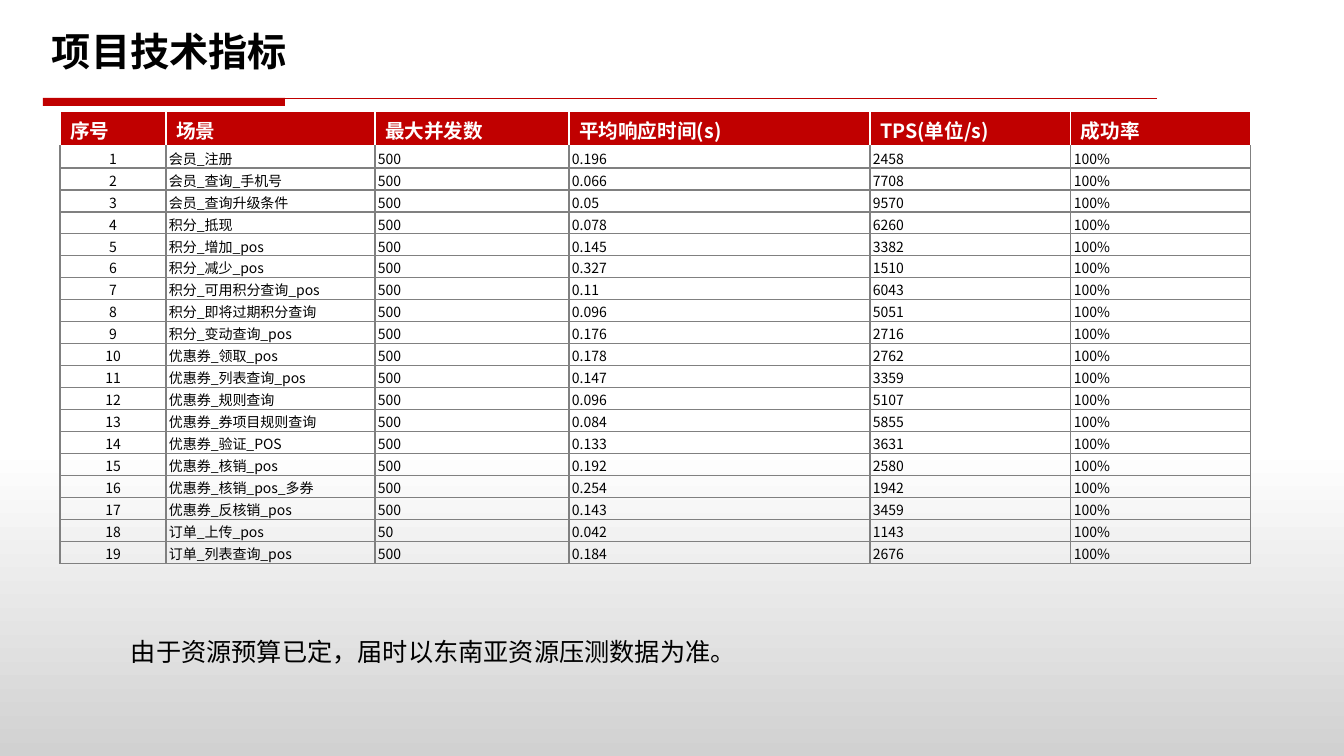
from copy import deepcopy

from pptx import Presentation
from pptx import util as u
from pptx.dml.color import RGBColor
from pptx.enum import shapes, text
from pptx.oxml.ns import qn
from lxml import etree

SCALE = 914400 / 100.8
FONT = "Noto Sans CJK SC"
RED, GREY, WHITE, BLACK = "C00000", "808080", "FFFFFF", "000000"

COL_WIDTHS = [106, 209, 194, 301, 201, 180]
HEADER_HEIGHT, ROW_HEIGHT = 35, 22
HEADERS = ["序号", "场景", "最大并发数", "平均响应时间(s)", "TPS(单位/s)", "成功率"]
RESULTS = [
    ("会员_注册", "500", "0.196", "2458"),
    ("会员_查询_手机号", "500", "0.066", "7708"),
    ("会员_查询升级条件", "500", "0.05", "9570"),
    ("积分_抵现", "500", "0.078", "6260"),
    ("积分_增加_pos", "500", "0.145", "3382"),
    ("积分_减少_pos", "500", "0.327", "1510"),
    ("积分_可用积分查询_pos", "500", "0.11", "6043"),
    ("积分_即将过期积分查询", "500", "0.096", "5051"),
    ("积分_变动查询_pos", "500", "0.176", "2716"),
    ("优惠券_领取_pos", "500", "0.178", "2762"),
    ("优惠券_列表查询_pos", "500", "0.147", "3359"),
    ("优惠券_规则查询", "500", "0.096", "5107"),
    ("优惠券_券项目规则查询", "500", "0.084", "5855"),
    ("优惠券_验证_POS", "500", "0.133", "3631"),
    ("优惠券_核销_pos", "500", "0.192", "2580"),
    ("优惠券_核销_pos_多券", "500", "0.254", "1942"),
    ("优惠券_反核销_pos", "500", "0.143", "3459"),
    ("订单_上传_pos", "50", "0.042", "1143"),
    ("订单_列表查询_pos", "500", "0.184", "2676"),
]


def px(n):
    return u.Emu(round(n * SCALE))


def color(value):
    return RGBColor.from_string(value)


def add_run(p, words, size, ink=BLACK, bold=False):
    r = p.add_run()
    r.text = words
    r.font.size = u.Pt(size)
    r.font.name = FONT
    r.font.bold = bold
    r.font.color.rgb = color(ink)
    ea = etree.SubElement(r.font._element, qn("a:ea"))
    ea.set("typeface", FONT)


def add_text(s, box, words, size, bold=False, wrap=True):
    tf = s.shapes.add_textbox(*map(px, box)).text_frame
    tf.word_wrap = wrap
    tf.auto_size = text.MSO_AUTO_SIZE.SHAPE_TO_FIT_TEXT
    tf.margin_top = tf.margin_bottom = 0
    add_run(tf.paragraphs[0], words, size, bold=bold)


def set_borders(cell, ink, top):
    tc_pr = cell._tc.get_or_add_tcPr()
    sides = [("a:lnL", ink), ("a:lnR", ink), ("a:lnT", top), ("a:lnB", ink)]
    for i, (tag, side_ink) in enumerate(sides):
        ln = etree.Element(qn(tag), w=str(u.Pt(1)))
        fill = etree.SubElement(ln, qn("a:solidFill"))
        etree.SubElement(fill, qn("a:srgbClr"), val=side_ink)
        tc_pr.insert(i, ln)


def header_cell(cell, words):
    cell.fill.solid()
    cell.fill.fore_color.rgb = color(RED)
    add_run(cell.text_frame.paragraphs[0], words, 14, WHITE, True)
    set_borders(cell, WHITE, WHITE)


def body_cell(cell, words, centred, top):
    cell.fill.background()
    cell.vertical_anchor = text.MSO_ANCHOR.MIDDLE
    cell.margin_left = cell.margin_right = px(3)
    cell.margin_top = cell.margin_bottom = px(2)
    p = cell.text_frame.paragraphs[0]
    p.alignment = text.PP_ALIGN.CENTER if centred else text.PP_ALIGN.LEFT
    add_run(p, words, 10)
    set_borders(cell, GREY, top)


def results_table(s, x, y):
    height = HEADER_HEIGHT + ROW_HEIGHT * len(RESULTS)
    frame = s.shapes.add_table(len(RESULTS) + 1, len(HEADERS), px(x), px(y),
                               px(sum(COL_WIDTHS)), px(height))
    table = frame.table
    table.first_row = table.horz_banding = False
    for col, width in zip(table.columns, COL_WIDTHS):
        col.width = px(width)
    for i, row in enumerate(table.rows):
        row.height = px(ROW_HEIGHT if i else HEADER_HEIGHT)
    for j, words in enumerate(HEADERS):
        header_cell(table.cell(0, j), words)
    for i, result in enumerate(RESULTS, 1):
        for j, words in enumerate((str(i), *result, "100%")):
            body_cell(table.cell(i, j), words, j == 0, WHITE if i == 1 else GREY)


def title_band(s, x, y, w, h):
    base = y + h
    rule = s.shapes.add_connector(shapes.MSO_CONNECTOR.STRAIGHT,
                                  px(x), px(base), px(x + w), px(base))
    rule.line.color.rgb = color(RED)
    rule.line.width = u.Pt(0.5)
    etree.SubElement(rule._element.spPr, qn("a:effectLst"))
    bar = s.shapes.add_shape(shapes.MSO_SHAPE.RECTANGLE,
                             px(x), px(base), px(242), px(8))
    bar.shadow.inherit = False
    bar.fill.solid()
    bar.fill.fore_color.rgb = color(RED)
    bar.line.fill.background()
    add_text(s, (x - 1, y, 817, 57), "项目技术指标", 28, bold=True)


def background(s):
    fill = s.background.fill
    fill.gradient()
    fill.gradient_angle = 270
    first = s.element.xpath(".//a:gs")[0]
    first.addnext(deepcopy(first))
    for stop, position, ink in zip(fill.gradient_stops, (0, 0.59, 1),
                                   (WHITE, WHITE, "D1D1D1")):
        stop.position = position
        stop.color.rgb = color(ink)


def main():
    prs = Presentation()
    prs.slide_width, prs.slide_height = px(1344), px(756)
    s = prs.slides.add_slide(prs.slide_layouts[6])
    background(s)
    title_band(s, 43, 27, 1114, 71)
    results_table(s, 60, 111)
    add_text(s, (121, 636, 631, 40),
             "由于资源预算已定，届时以东南亚资源压测数据为准。", 18, wrap=False)
    prs.save("out.pptx")


if __name__ == "__main__":
    main()
